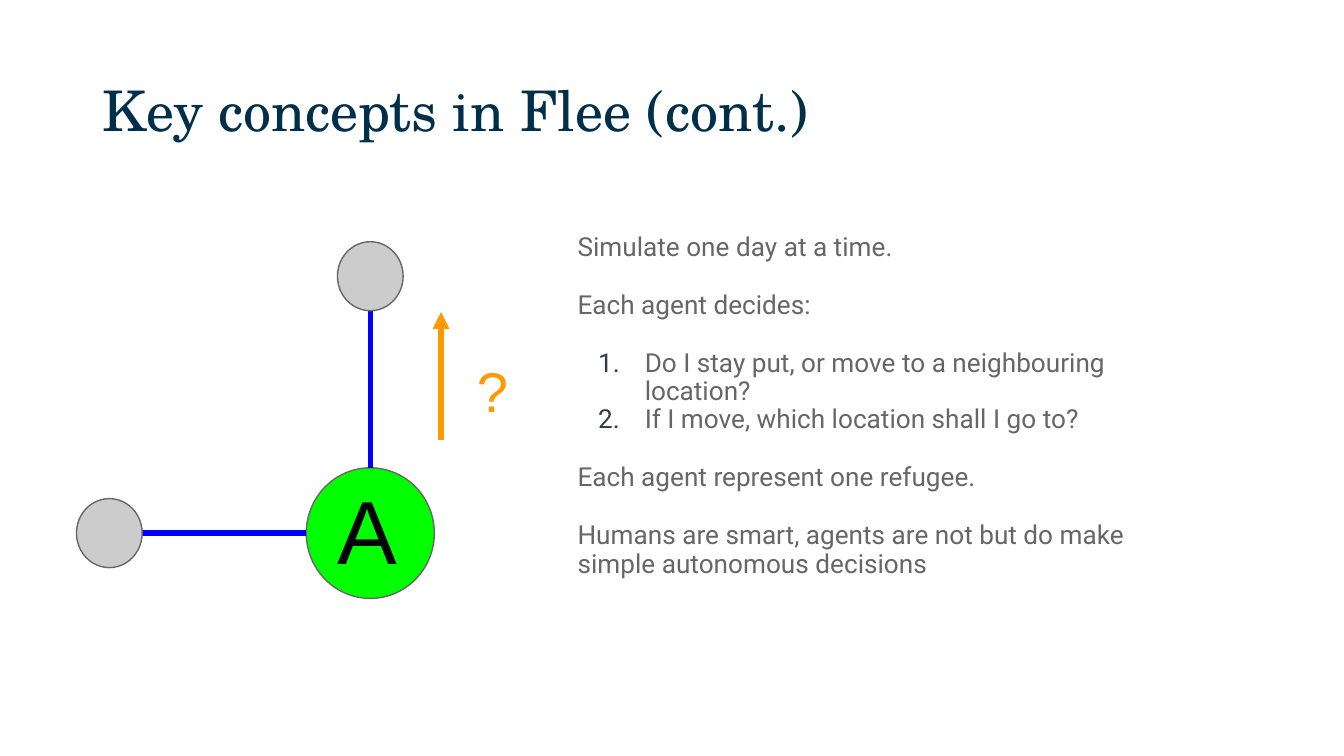
from pptx import Presentation
from pptx.dml.color import RGBColor
from pptx.enum.shapes import MSO_CONNECTOR as Link, MSO_SHAPE as Shape
from pptx.enum.text import MSO_ANCHOR as Anchor
from pptx.oxml.ns import qn
from pptx.util import Pt
from lxml.etree import SubElement

BLUE, ORANGE, GREY = "0000FF", "FF9900", "666666"


def color(value):
    return RGBColor.from_string(value)


def write(paragraph, text, font="Arial", size=14, fill=GREY, spacing=None,
          before=0, number_fill=None):
    if number_fill:
        props = paragraph._p.get_or_add_pPr()
        props.set("marL", str(Pt(36)))
        props.set("indent", str(Pt(-25)))
        bullet_color = SubElement(props, qn("a:buClr"))
        SubElement(bullet_color, qn("a:srgbClr"), val=number_fill)
        SubElement(props, qn("a:buAutoNum"), type="arabicPeriod")
    if spacing:
        paragraph.line_spacing = spacing
    paragraph.space_before = Pt(before)
    run = paragraph.add_run()
    run.text = text
    run.font.name = font
    run.font.size = Pt(size)
    run.font.color.rgb = color(fill)


class Deck:
    outline = GREY
    outline_width = 0.75
    road_width = 3

    def __init__(self, width, height):
        self.show = Presentation()
        self.show.slide_width, self.show.slide_height = Pt(width), Pt(height)
        self.slide = self.show.slides.add_slide(self.show.slide_layouts[6])

    def text(self, left, top, width, height, lines, inset=(7.2, 7.2),
             anchor=Anchor.TOP, **style):
        box = self.slide.shapes.add_textbox(Pt(left), Pt(top), Pt(width), Pt(height))
        frame = box.text_frame
        frame.word_wrap = True
        frame.vertical_anchor = anchor
        frame.margin_left = frame.margin_right = Pt(inset[0])
        frame.margin_top = frame.margin_bottom = Pt(inset[1])
        for i, (line, extra) in enumerate(lines):
            paragraph = frame.add_paragraph() if i else frame.paragraphs[0]
            write(paragraph, line, **style, **extra)

    def circle(self, center, width, height, fill):
        x, y = center
        node = self.slide.shapes.add_shape(
            Shape.OVAL, Pt(x - width / 2), Pt(y - height / 2), Pt(width), Pt(height))
        node.shadow.inherit = False
        node.fill.solid()
        node.fill.fore_color.rgb = color(fill)
        node.line.color.rgb = color(self.outline)
        node.line.width = Pt(self.outline_width)

    def line(self, start, end, fill, arrow=False):
        link = self.slide.shapes.add_connector(
            Link.STRAIGHT, *(Pt(value) for value in (*start, *end)))
        link.line.color.rgb = color(fill)
        link.line.width = Pt(self.road_width)
        if arrow:
            SubElement(link.line._get_or_add_ln(), qn("a:tailEnd"), type="triangle")
        SubElement(link._element.spPr, qn("a:effectLst"))


def main():
    deck = Deck(720, 405)
    deck.text(49.7, 21.6, 620.6, 78.5, [("Key concepts in Flee (cont.)", {})],
              inset=(5.4, 2.7), anchor=Anchor.MIDDLE, font="TeX Gyre Schola",
              size=30, fill="002F4A", spacing=0.9)

    gap = {"before": 16}
    numbered = {"number_fill": "31394D"}
    deck.text(304, 122.4, 347.6, 231, [
        ("Simulate one day at a time.", {}),
        ("Each agent decides:", gap),
        ("Do I stay put, or move to a neighbouring location?", {**gap, **numbered}),
        ("If I move, which location shall I go to?", numbered),
        ("Each agent represent one refugee.", gap),
        ("Humans are smart, agents are not but do make simple autonomous decisions", gap),
    ], inset=(5.4, 2.7), font="Roboto", spacing=0.9)

    agent_x, agent_y = agent = (198.4, 285.6)
    north = (agent_x, 148)
    west = (58.6, agent_y)
    deck.circle(agent, 68.6, 70, "00FF00")
    for neighbour, exit_point in ((west, (agent_x - 34.3, agent_y)),
                                  (north, (agent_x, agent_y - 35))):
        deck.line(exit_point, neighbour, BLUE)
        deck.circle(neighbour, 35.2, 37, "CCCCCC")

    deck.line((236.3, 235.6), (236.3, 167.2), ORANGE, arrow=True)
    deck.text(248.4, 183.6, 49.7, 36.7, [("?", {})], size=30, fill=ORANGE)
    deck.text(173.5, 247, 68.4, 68.4, [("A", {})], size=48, fill="000000")
    deck.show.save("out.pptx")


if __name__ == "__main__":
    main()
